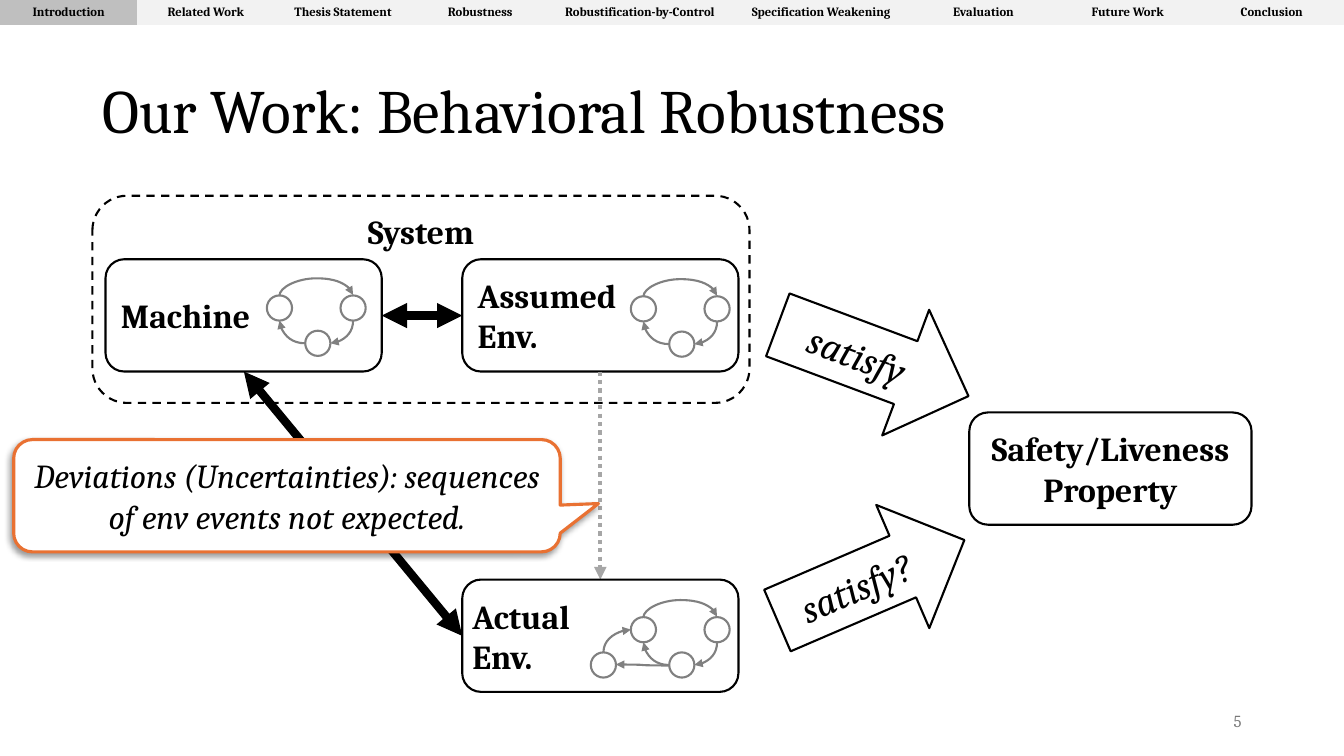
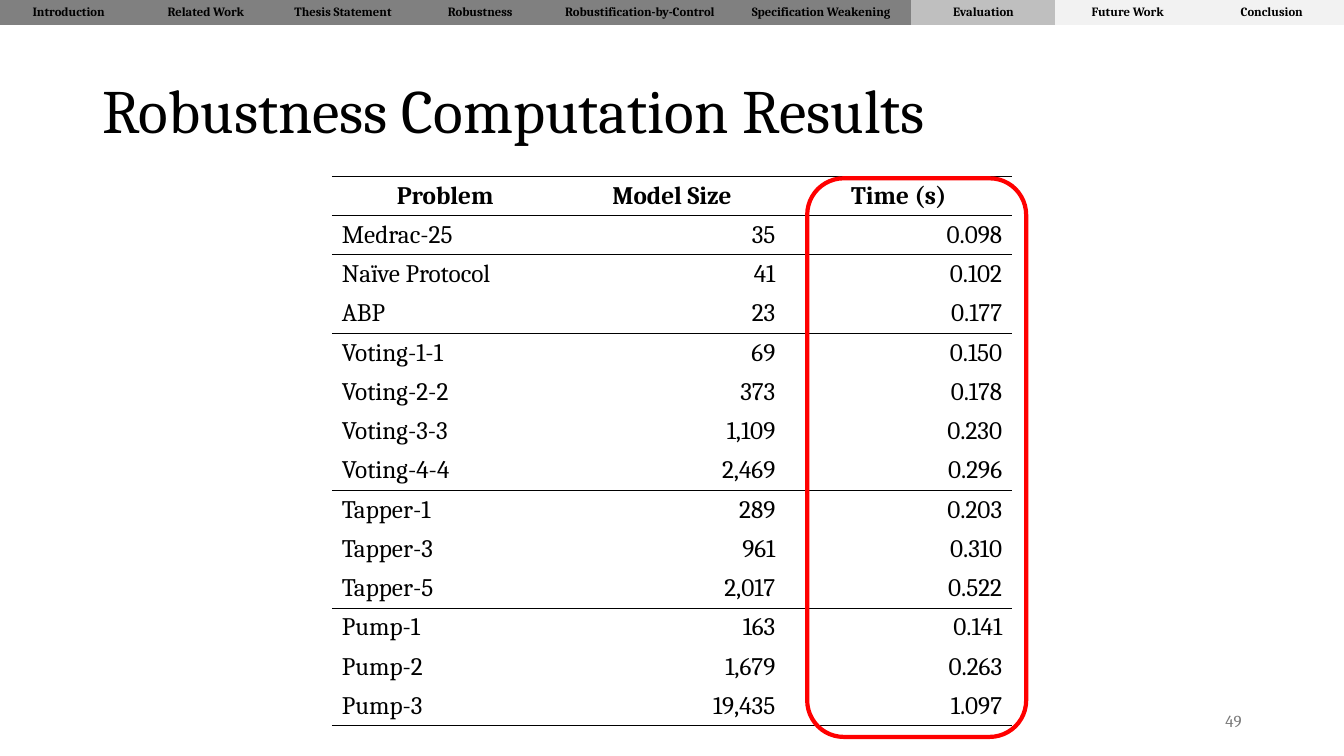
from lxml.etree import SubElement
from pptx import Presentation
from pptx.dml.color import RGBColor
from pptx.enum.dml import MSO_LINE
from pptx.enum.shapes import MSO_CONNECTOR, MSO_SHAPE
from pptx.enum.text import MSO_ANCHOR, PP_ALIGN
from pptx.oxml.ns import qn
from pptx.util import Pt

BLACK = RGBColor(0x00, 0x00, 0x00)
WHITE = RGBColor(0xFF, 0xFF, 0xFF)
GRAY = RGBColor(0x80, 0x80, 0x80)
DOT_GRAY = RGBColor(0xA6, 0xA6, 0xA6)
PAGE_GRAY = RGBColor(0x79, 0x79, 0x79)
CURRENT = RGBColor(0xBF, 0xBF, 0xBF)
UPCOMING = RGBColor(0xF2, 0xF2, 0xF2)
ORANGE = RGBColor(0xE9, 0x71, 0x32)
RED = RGBColor(0xFF, 0x00, 0x00)

FONT = "Cambria"
NO_STYLE = "{2D5ABB26-0587-4C30-8999-92F81FD0307C}"
LEFT, CENTER, RIGHT = PP_ALIGN.LEFT, PP_ALIGN.CENTER, PP_ALIGN.RIGHT
SECTIONS = ["Introduction", "Related Work", "Thesis Statement", "Robustness",
            "Robustification-by-Control", "Specification Weakening",
            "Evaluation", "Future Work", "Conclusion"]
SECTION_WIDTHS = [98] * 4 + [130, 129] + [103] * 3
TOP, WEST, BOTTOM, EAST = 0, 2, 4, 6
SITES = {TOP: (0.5, 0), WEST: (0, 0.5), BOTTOM: (0.5, 1), EAST: (1, 0.5)}
STATE = 18
RESULTS = [
    [("Problem", "Model Size", "Time (s)")],
    [("Medrac-25", "35", "0.098")],
    [("Naïve Protocol", "41", "0.102"), ("ABP", "23", "0.177")],
    [("Voting-1-1", "69", "0.150"), ("Voting-2-2", "373", "0.178"),
     ("Voting-3-3", "1,109", "0.230"), ("Voting-4-4", "2,469", "0.296")],
    [("Tapper-1", "289", "0.203"), ("Tapper-3", "961", "0.310"),
     ("Tapper-5", "2,017", "0.522")],
    [("Pump-1", "163", "0.141"), ("Pump-2", "1,679", "0.263"),
     ("Pump-3", "19,435", "1.097")],
]


class Deck:
    """Holds the shared style and draws elements on the current slide."""

    def __init__(self):
        self.prs = Presentation()
        self.prs.slide_width, self.prs.slide_height = Pt(960), Pt(540)

    def slide(self, title, number):
        self.s = self.prs.slides.add_slide(self.prs.slide_layouts[6])
        p = self.textbox(66, 29, 828, 104, title, 44)
        p.line_spacing = 0.9
        self.textbox(678, 500, 216, 29, str(number), 12, PAGE_GRAY, RIGHT)

    def text(self, tf, text, size, color=BLACK, align=LEFT, bold=False, italic=False):
        tf.word_wrap = True
        tf.text = text
        for p in tf.paragraphs:
            p.alignment = align
            p.font.name, p.font.size = FONT, Pt(size)
            p.font.bold, p.font.italic = bold, italic
            p.font.color.rgb = color
        return tf.paragraphs[0]

    def textbox(self, x, y, w, h, text, size, color=BLACK, align=LEFT):
        tf = self.s.shapes.add_textbox(Pt(x), Pt(y), Pt(w), Pt(h)).text_frame
        tf.vertical_anchor = MSO_ANCHOR.MIDDLE
        return self.text(tf, text, size, color, align)

    def shape(self, kind, x, y, w, h, fill=WHITE, line=BLACK, weight=1.5):
        sp = self.s.shapes.add_shape(kind, Pt(x), Pt(y), Pt(w), Pt(h))
        sp.shadow.inherit = False
        if fill is None:
            sp.fill.background()
        else:
            sp.fill.solid()
            sp.fill.fore_color.rgb = fill
        sp.line.color.rgb, sp.line.width = line, Pt(weight)
        return sp

    def box(self, x, y, w, h, text, align=LEFT):
        sp = self.shape(MSO_SHAPE.ROUNDED_RECTANGLE, x, y, w, h)
        self.text(sp.text_frame, text, 24, align=align, bold=True)
        return sp

    def block_arrow(self, x, y, angle, text):
        sp = self.shape(MSO_SHAPE.RIGHT_ARROW, x, y, 145.4, 95.8)
        sp.rotation = angle
        self.text(sp.text_frame, text, 28, align=CENTER, italic=True)

    def callout(self, x, y, w, h, text):
        sp = self.shape(MSO_SHAPE.ROUNDED_RECTANGULAR_CALLOUT, x, y, w, h,
                        line=ORANGE, weight=2.25)
        sp.adjustments[0], sp.adjustments[1] = 0.57, 0.07
        self.text(sp.text_frame, text, 24, align=CENTER, italic=True)
        effects = sp.element.spPr.find(qn("a:effectLst"))
        shadow = SubElement(effects, qn("a:outerShdw"), blurRad=str(Pt(4)),
                            dist=str(Pt(3)), dir="8100000", algn="tr", rotWithShape="0")
        color = SubElement(shadow, qn("a:srgbClr"), val=str(BLACK))
        SubElement(color, qn("a:alpha"), val="40000")

    def connector(self, kind, x1, y1, x2, y2, color, weight, both=False, dash=None):
        c = self.s.shapes.add_connector(kind, Pt(x1), Pt(y1), Pt(x2), Pt(y2))
        c.line.color.rgb, c.line.width = color, Pt(weight)
        if dash:
            c.line.dash_style = dash
        spPr = c.element.spPr
        for end in ["headEnd", "tailEnd"] if both else ["tailEnd"]:
            SubElement(spPr.find(qn("a:ln")), qn(f"a:{end}"), type="triangle")
        SubElement(spPr, qn("a:effectLst"))
        return c

    def arrow(self, x1, y1, x2, y2, color=BLACK, weight=6, both=True, dash=None):
        self.connector(MSO_CONNECTOR.STRAIGHT, x1, y1, x2, y2, color, weight, both, dash)

    def transition(self, a, a_site, b, b_site, angle, flip=False, bends=2, bulge=None):
        (x1, y1), (x2, y2) = [
            (sp.left.pt + STATE * SITES[site][0], sp.top.pt + STATE * SITES[site][1])
            for sp, site in ((a, a_site), (b, b_site))]
        w, h = max(abs(x2 - x1), 0.7), max(abs(y2 - y1), 0.7)
        if angle == 90:
            w, h = h, w
        x, y = (x1 + x2 - w) / 2, (y1 + y2 - h) / 2
        c = self.connector(MSO_CONNECTOR.CURVE, x, y, x + w, y + h, GRAY, 1.5)
        xfrm = c.element.spPr.find(qn("a:xfrm"))
        xfrm.set("rot", str(angle * 60000))
        if flip:
            xfrm.set("flipH", "1")
            xfrm.set("flipV", "1")
        geom = c.element.spPr.find(qn("a:prstGeom"))
        geom.set("prst", f"curvedConnector{bends}")
        if bulge:
            SubElement(geom.find(qn("a:avLst")), qn("a:gd"), name="adj1",
                       fmla=f"val {round(bulge / w * 100000)}")
        links = next(c.element.iter(qn("p:cNvCxnSpPr")))
        for tag, sp, site in (("stCxn", a, a_site), ("endCxn", b, b_site)):
            SubElement(links, qn(f"a:{tag}"), id=str(sp.shape_id), idx=str(site))

    def state(self, x, y):
        return self.shape(MSO_SHAPE.OVAL, x, y, STATE, STATE, line=GRAY)

    def automaton(self, x, y):
        left, right = self.state(x, y), self.state(x + 52.6, y)
        bottom = self.state(x + 27.4, y + 25.2)
        self.transition(left, TOP, right, TOP, 90, flip=True, bends=3, bulge=12.4)
        self.transition(right, BOTTOM, bottom, EAST, 90)
        self.transition(bottom, WEST, left, BOTTOM, 180)
        return left, bottom

    def table(self, x, y, widths, row_height, rows):
        frame = self.s.shapes.add_table(rows, len(widths), Pt(x), Pt(y),
                                        Pt(sum(widths)), Pt(row_height * rows))
        next(frame.element.iter(qn("a:tableStyleId"))).text = NO_STYLE
        table = frame.table
        table.first_row = table.horz_banding = False
        for column, width in zip(table.columns, widths):
            column.width = Pt(width)
        for row in table.rows:
            row.height = Pt(row_height)
        return table

    def cell(self, cell, text, size, align, bold=False, fill=None, rules=()):
        cell.margin_top = cell.margin_bottom = 0
        cell.vertical_anchor = MSO_ANCHOR.MIDDLE
        self.text(cell.text_frame, text, size, align=align, bold=bold)
        tcPr = cell._tc.get_or_add_tcPr()
        for side in rules:
            ln = SubElement(tcPr, qn(f"a:ln{side}"), w=str(Pt(1)))
            SubElement(SubElement(ln, qn("a:solidFill")), qn("a:srgbClr"), val=str(BLACK))
        if fill is None:
            cell.fill.background()
        else:
            cell.fill.solid()
            cell.fill.fore_color.rgb = fill

    def navigation(self, section):
        now = SECTIONS.index(section)
        table = self.table(0, 0, SECTION_WIDTHS, 17.8, 1)
        for i, name in enumerate(SECTIONS):
            fill = GRAY if i < now else CURRENT if i == now else UPCOMING
            self.cell(table.cell(0, i), name, 9, CENTER, True, fill)

    def results(self, x, y, groups):
        rows = [(row, row is group[-1]) for group in groups for row in group]
        table = self.table(x, y, [162] * 3, 28.05, len(rows))
        for i, (row, last) in enumerate(rows):
            rules = (["T"] if i == 0 else []) + (["B"] if last else [])
            for j, text in enumerate(row):
                align = CENTER if i == 0 else RIGHT if j else LEFT
                self.cell(table.cell(i, j), text, 18, align, i == 0, rules=rules)


def robustness_slide(deck):
    deck.slide("Our Work: Behavioral Robustness", 5)
    system = deck.box(66, 139.8, 469.4, 148, "System", CENTER)
    system.line.dash_style = MSO_LINE.DASH
    system.text_frame.vertical_anchor = MSO_ANCHOR.TOP
    deck.box(75.4, 185.2, 197.3, 80.2, "Machine")
    deck.automaton(190.6, 211)
    deck.box(330.2, 185.2, 197.3, 80.2, "Assumed\nEnv.")
    deck.automaton(450.6, 211.6)
    deck.arrow(272.7, 225.4, 330.2, 225.4)
    deck.box(692.4, 294.6, 201.6, 80.2, "Safety/Liveness Property", CENTER)
    deck.arrow(174.2, 265.4, 330.2, 454.2)
    deck.block_arrow(551, 209.6, 20.5, "satisfy")
    deck.arrow(428.8, 265.4, 428.8, 414, DOT_GRAY, 3, False, MSO_LINE.ROUND_DOT)
    deck.callout(9.8, 314, 390.4, 80.2,
                 "Deviations (Uncertainties): sequences of env events not expected.")
    deck.block_arrow(549.4, 366.6, 336.7, "satisfy?")
    actual = deck.box(330.2, 414, 197.3, 80.2, "Actual\nEnv.")
    actual.text_frame.margin_left = Pt(3.3)
    left, bottom = deck.automaton(450.6, 440.8)
    extra = deck.state(422, 466)
    deck.transition(bottom, WEST, extra, EAST, 180, bends=3)
    deck.transition(extra, TOP, left, WEST, 90, flip=True)
    deck.navigation("Introduction")


def results_slide(deck):
    deck.slide("Robustness Computation Results", 49)
    deck.navigation("Evaluation")
    deck.results(237, 126, RESULTS)
    deck.shape(MSO_SHAPE.ROUNDED_RECTANGLE, 576.6, 127.4, 156.4, 399,
               fill=None, line=RED, weight=3)


def main():
    deck = Deck()
    robustness_slide(deck)
    results_slide(deck)
    deck.prs.save("out.pptx")


if __name__ == "__main__":
    main()
